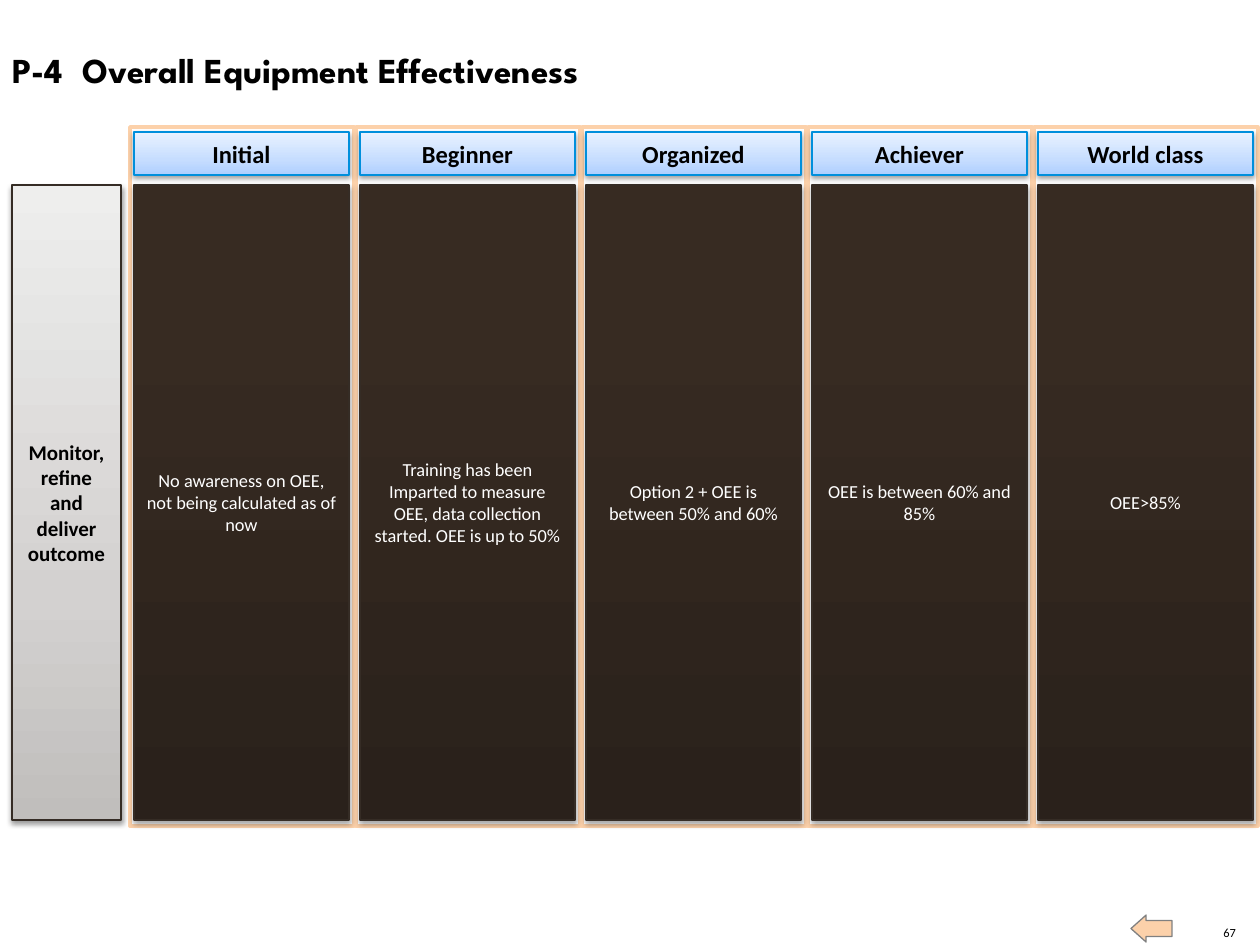
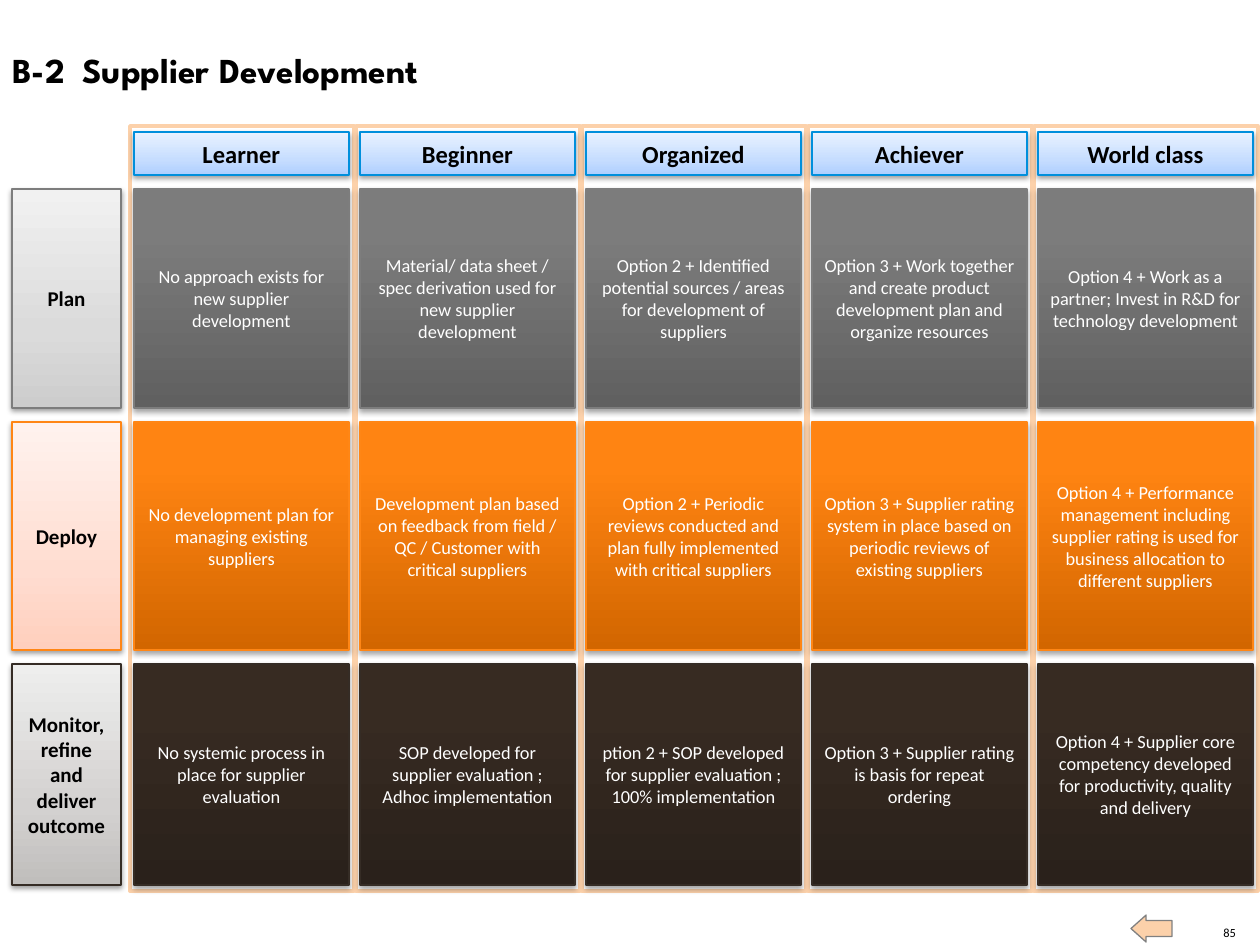
import copy

import lxml.etree
import pptx
import pptx.dml.color
import pptx.enum.shapes
import pptx.enum.text
import pptx.oxml
import pptx.oxml.ns
import pptx.util

RGB = pptx.dml.color.RGBColor.from_string
SHAPE = pptx.enum.shapes.MSO_SHAPE
ALIGN = pptx.enum.text.PP_ALIGN
ANCHOR = pptx.enum.text.MSO_ANCHOR
PX = 914400 / 126

BLACK, WHITE = RGB("000000"), RGB("FFFFFF")
PEACH, GRAY, BLUE = RGB("FCD1AA"), RGB("808080"), RGB("008FDC")
STEEL, ORANGE, BROWN = RGB("7D7D7D"), RGB("FF8615"), RGB("352C25")


def ramp(mid, *colors):
    """Gradient stops (position, colour) from bottom to top."""
    return list(zip((0, mid, 1), map(RGB, colors)))


HEAD_RAMP = ramp(0.35, "AECFFF", "C6DDFF", "E9F2FF")
# Stage name: line colour, label gradient, cell gradient
STAGES = {
    "Plan": (STEEL, ramp(0.35, "CDCDCD", "DBDBDB", "F1F1F1"),
             ramp(0.8, "606060", "7C7C7C", "7D7D7D")),
    "Deploy": (ORANGE, ramp(0.35, "FFCFBD", "FFDDD1", "FFF2EE"),
               ramp(0.8, "D26600", "FF8412", "FF8514")),
    "Monitor, refine and deliver outcome":
        (BROWN, ramp(0.35, "C0BEBC", "D3D1D0", "EEEEED"),
         ramp(0.8, "2A211B", "372B22", "372B22")),
}
PLAN, DEPLOY, MONITOR = STAGES
SOFT, DEEP = (20000, 38000), (23000, 35000)  # shadow distance, opacity

COL_LEFT, COL_STEP, COL_WIDTH = 134, 226, 215
FRAME_PAD, FRAME_WIDTH = 4, 224
LABEL_LEFT, LABEL_WIDTH = 12, 109
HEAD_TOP, HEAD_HIGH = 132, 43
ROW_GAP, ROW_PAD = 14, 6
LEVELS = ["Beginner", "Organized", "Achiever", "World class"]

OEE = [(MONITOR, 635, [
    "No awareness on OEE, not being calculated as of now",
    "Training has been Imparted to measure OEE, data collection started. "
    "OEE is up to 50%",
    "Option 2 + OEE is between 50% and 60%",
    "OEE is between 60% and 85%",
    "OEE>85%"])]

SUPPLY = [
    (PLAN, 219, [
        "No approach exists for new supplier development",
        "Material/ data sheet / spec derivation used for new supplier "
        "development",
        "Option 2 + Identified potential sources / areas for development of "
        "suppliers",
        "Option 3 + Work together and create product development plan and "
        "organize resources",
        "Option 4 + Work as a partner; Invest in R&D for technology "
        "development"]),
    (DEPLOY, 228, [
        "No development plan for managing existing suppliers",
        "Development plan based on feedback from field / QC / Customer with "
        "critical suppliers",
        "Option 2 + Periodic reviews conducted and plan fully implemented "
        "with critical suppliers",
        "Option 3 + Supplier rating system in place based on periodic "
        "reviews of existing suppliers",
        "Option 4 + Performance management including supplier rating is used "
        "for business allocation to different suppliers"]),
    (MONITOR, 221, [
        "No systemic process in place for supplier evaluation",
        "SOP developed for supplier evaluation ; Adhoc implementation",
        "ption 2 + SOP developed for supplier evaluation ; "
        "100% implementation",
        "Option 3 + Supplier rating is basis for repeat ordering",
        "Option 4 + Supplier core competency developed for productivity, "
        "quality and delivery"]),
]


def scale(box):
    return [round(side * PX) for side in box]


def add_sub(parent, tag, **attrs):
    return lxml.etree.SubElement(parent, pptx.oxml.ns.qn(tag), attrs)


def set_font(para, size, color, bold=False, name="Calibri"):
    font = para.font
    font.size, font.bold, font.name = pptx.util.Pt(size), bold, name
    font.color.rgb = color


def add_block(slide, box, line, fill=None, kind=SHAPE.RECTANGLE, width=0.75):
    block = slide.shapes.add_shape(kind, *scale(box))
    block.shadow.inherit = False
    block.line.color.rgb = line
    block.line.width = pptx.util.Pt(width)
    if fill is not None:
        block.fill.solid()
        block.fill.fore_color.rgb = fill
    return block


def add_card(slide, box, text, line, stops, shade, size, color, bold):
    """Gradient box with a soft shadow and centred text."""
    card = add_block(slide, box, line)
    props = card.element.spPr
    card.fill.gradient()
    card.fill.gradient_angle = 90
    first = props.find(".//" + pptx.oxml.ns.qn("a:gs"))
    first.addnext(copy.deepcopy(first))
    for stop, (place, tone) in zip(card.fill.gradient_stops, stops):
        stop.position = place
        stop.color.rgb = tone

    far, alpha = shade
    effects = props.find(pptx.oxml.ns.qn("a:effectLst"))
    shadow = add_sub(effects, "a:outerShdw", blurRad="40000", dist=str(far),
                     dir="5400000", rotWithShape="0")
    tint = add_sub(shadow, "a:srgbClr", val=str(BLACK))
    add_sub(tint, "a:alpha", val=str(alpha))

    frame = card.text_frame
    frame.word_wrap = True
    frame.vertical_anchor = ANCHOR.MIDDLE
    para = frame.paragraphs[0]
    para.text = text
    para.alignment = ALIGN.CENTER
    set_font(para, size, color, bold)


def add_title(slide, code, name):
    title = slide.shapes.add_textbox(*scale((0, 42, 1084, 55)))
    title.text_frame.word_wrap = True
    para = title.text_frame.paragraphs[0]
    para.text = f"{code}\t{name}"
    tabs = add_sub(para._p.get_or_add_pPr(), "a:tabLst")
    add_sub(tabs, "a:tab", pos=str(round(70 * PX)), algn="l")
    set_font(para, 20, BLACK, True, "League Spartan")


def add_footer(slide, page):
    arrow = add_block(slide, (1131, 915, 41, 27), GRAY, PEACH,
                      SHAPE.RIGHT_ARROW)
    arrow.rotation = 180
    arrow.adjustments[0], arrow.adjustments[1] = 0.59, 0.56
    note = slide.shapes.add_textbox(*scale((1221, 925, 15, 15)))
    frame = note.text_frame
    frame.margin_left = frame.margin_right = 0
    frame.margin_top = frame.margin_bottom = 0
    frame.word_wrap = False
    frame.vertical_anchor = ANCHOR.BOTTOM
    para = frame.paragraphs[0]
    para.text = str(page)
    para.alignment = ALIGN.RIGHT
    set_font(para, 7.1, BLACK)


def add_row(slide, top, high, stage, cells):
    line, pale, dark = STAGES[stage]
    add_card(slide, (LABEL_LEFT, top, LABEL_WIDTH, high), stage, line, pale,
             SOFT, 12, BLACK, True)
    for col, text in enumerate(cells):
        box = (COL_LEFT + col * COL_STEP, top, COL_WIDTH, high)
        add_card(slide, box, text, line, dark, DEEP, 10.5, WHITE, False)


def add_grid(slide, heads, rows, frame_top, row_top):
    tall = sum(high + ROW_GAP for _, high, _ in rows) - ROW_GAP
    frame_high = row_top + tall + ROW_PAD - frame_top
    lefts = [COL_LEFT + col * COL_STEP for col in range(len(heads))]
    for left in lefts:
        box = (left - FRAME_PAD, frame_top, FRAME_WIDTH, frame_high)
        add_block(slide, box, PEACH, WHITE, width=2)
    for stage, high, cells in rows:
        add_row(slide, row_top, high, stage, cells)
        row_top += high + ROW_GAP
    for left, head in zip(lefts, heads):
        add_card(slide, (left, HEAD_TOP, COL_WIDTH, HEAD_HIGH), head, BLUE,
                 HEAD_RAMP, SOFT, 14, BLACK, True)


def add_matrix(deck, page, code, name, start, rows, frame_top, row_top):
    slide = deck.slides.add_slide(deck.slide_layouts[6])
    add_footer(slide, page)
    add_title(slide, code, name)
    add_grid(slide, [start] + LEVELS, rows, frame_top, row_top)


def main():
    deck = pptx.Presentation()
    deck.slide_width, deck.slide_height = scale((1260, 945))
    add_matrix(deck, 67, "P-4", "Overall Equipment Effectiveness", "Initial",
               OEE, 127, 185)
    add_matrix(deck, 85, "B-2", "Supplier Development", "Learner",
               SUPPLY, 126, 189)
    deck.save("out.pptx")


if __name__ == "__main__":
    main()
